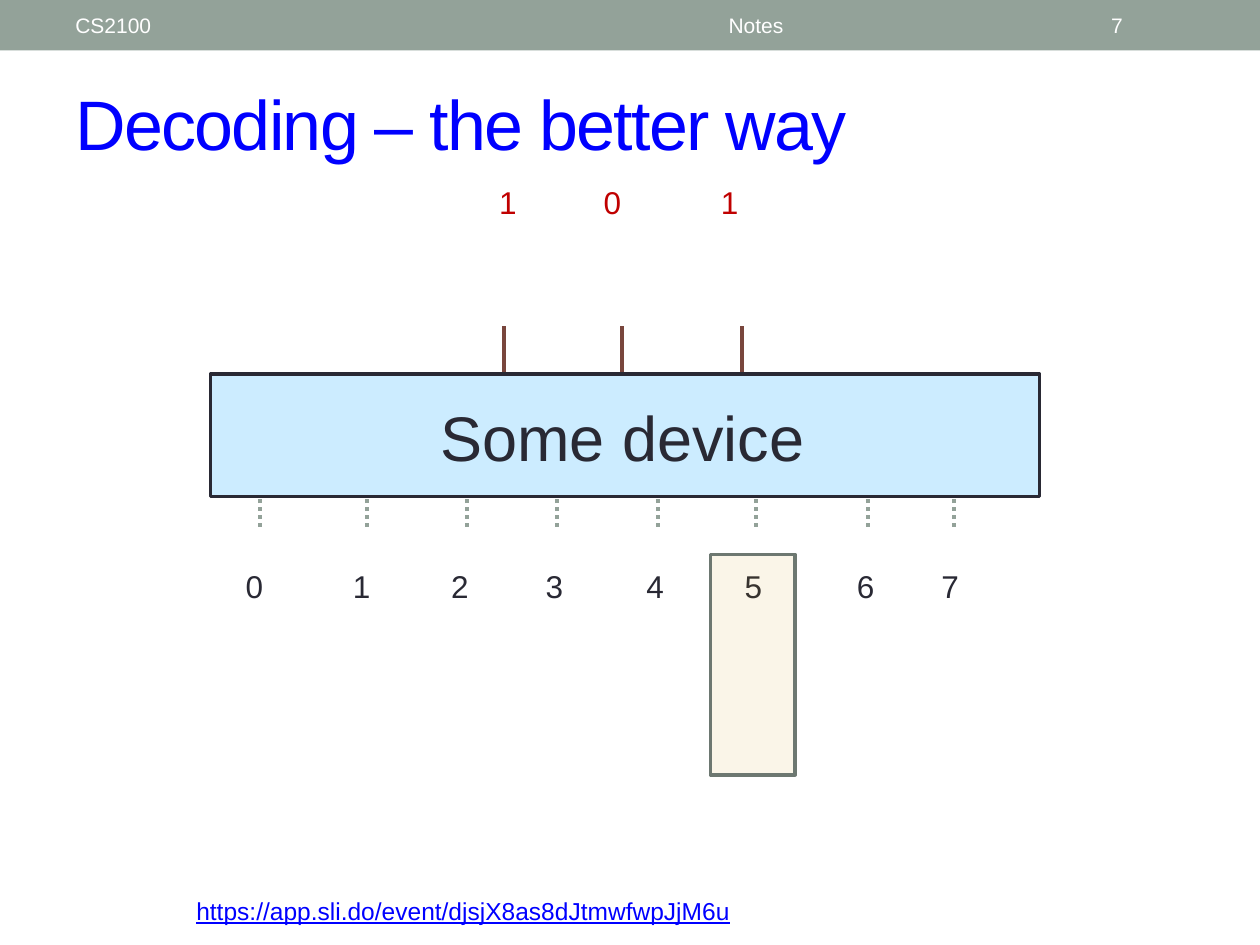
from pptx import Presentation
from pptx.dml.color import RGBColor
from pptx.enum.dml import MSO_LINE_DASH_STYLE as Dash
from pptx.enum.shapes import MSO_CONNECTOR as Conn, MSO_SHAPE as Shape
from pptx.enum.text import MSO_ANCHOR as Anchor, PP_ALIGN as Align
from pptx.oxml.ns import qn
from pptx.util import Pt
from lxml.etree import SubElement

PX = 9144  # 100 px to the inch
HUES = {
    "band": "93A299", "title": "0000FF", "white": "FFFFFF", "bit": "C00000",
    "ink": "292934", "wire": "79463D", "device": "CCECFF",
    "mark": "CC9900", "edge": "6D7871",
}
HUES = {name: RGBColor.from_string(code) for name, code in HUES.items()}

deck = Presentation()
deck.slide_width, deck.slide_height = 1000 * PX, 750 * PX
slide = deck.slides.add_slide(deck.slide_layouts[5])
shapes = slide.shapes


def style(frame, text, size, hue, align=Align.LEFT, anchor=Anchor.TOP):
    """Fill a text frame with one formatted line."""
    frame.word_wrap = True
    frame.vertical_anchor = anchor
    frame.text = text
    par = frame.paragraphs[0]
    par.alignment = align
    par.font.name, par.font.size = "Arial", Pt(size)
    par.font.color.rgb = HUES[hue]
    return par


def wire(x, top, end, hue):
    """Draw a vertical line and return it."""
    line = shapes.add_connector(Conn.STRAIGHT, x * PX, top * PX, x * PX, end * PX)
    line.line.color.rgb = HUES[hue]
    line.line.width = Pt(2.25)
    SubElement(line._element.spPr, qn("a:effectLst"))
    return line


# Header band, title and link
band = shapes.add_shape(Shape.RECTANGLE, 0, 0, 1000 * PX, 40 * PX)
band.shadow.inherit = False
band.fill.solid()
band.fill.fore_color.rgb = HUES["band"]
band.line.fill.background()

for text, x, width, align in [
    ("CS2100", 50, 317, Align.LEFT),
    ("Notes", 375, 450, Align.CENTER),
    ("7", 872, 78, Align.LEFT),
]:
    box = shapes.add_textbox(x * PX, 2 * PX, width * PX, 36 * PX)
    style(box.text_frame, text, 12, "white", align, Anchor.MIDDLE)

title = shapes.title
title.left, title.top, title.width, title.height = 50 * PX, 58 * PX, 900 * PX, 79 * PX
par = style(title.text_frame, "Decoding – the better way", 40, "title",
            anchor=Anchor.MIDDLE)
par.runs[0].font._element.set("spc", "-100")

link = shapes.add_textbox(146 * PX, 706 * PX, 804 * PX, 34 * PX)
par = style(link.text_frame, "https://app.sli.do/event/djsjX8as8dJtmwfwpJjM6u",
            14, "title")
par.font.underline = True

# Input bits above and output numbers below
bits = zip("101", (382, 465, 558))
outs = zip("01234567", (181, 266, 344, 419, 499, 577, 666, 733))
for labels, top, hue in [(bits, 140, "bit"), (outs, 445, "ink")]:
    for text, x in labels:
        box = shapes.add_textbox(x * PX, top * PX, 42 * PX, 40 * PX)
        style(box.text_frame, text, 18, hue, Align.CENTER)

# Wires run behind the device
for x in (206, 291, 371, 442, 522, 600, 689, 757):
    wire(x, 418, 310, "band").line.dash_style = Dash.ROUND_DOT
for x in (400, 494, 589):
    wire(x, 259, 334, "wire")

# Marked output and the device
for x, top, width, height, fill, edge in [
    (564, 440, 67, 175, "mark", "edge"),
    (167, 297, 658, 97, "device", "ink"),
]:
    rect = shapes.add_shape(Shape.RECTANGLE, x * PX, top * PX, width * PX, height * PX)
    rect.shadow.inherit = False
    rect.fill.solid()
    rect.fill.fore_color.rgb = HUES[fill]
    rect.line.color.rgb = HUES[edge]
    rect.line.width = Pt(2.08)
    if fill == "mark":
        tint = rect._element.spPr.find(qn("a:solidFill"))[0]
        SubElement(tint, qn("a:alpha"), val="9000")

name = shapes.add_textbox(304 * PX, 311 * PX, 380 * PX, 71 * PX)
style(name.text_frame, "Some device", 36, "ink", Align.CENTER)

deck.save("out.pptx")
